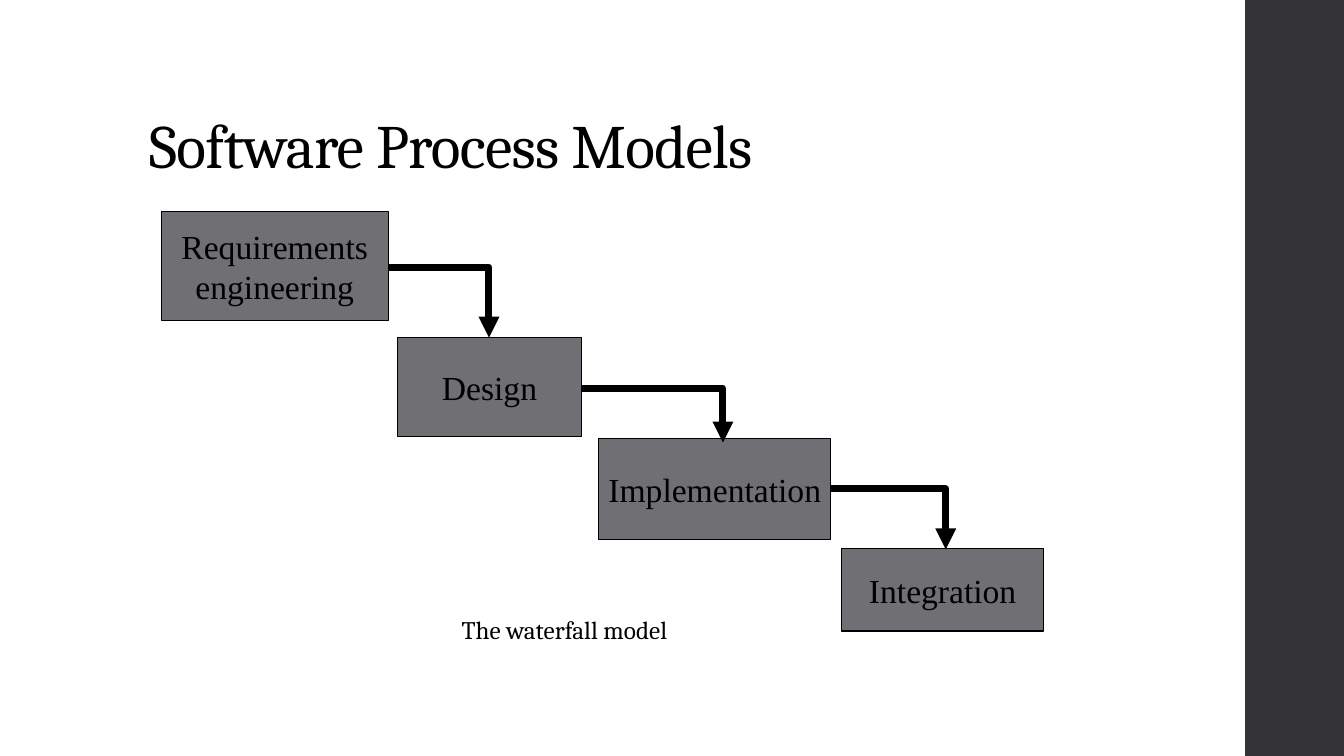
from lxml import etree
from pptx import Presentation
from pptx.dml.color import RGBColor
from pptx.enum.shapes import MSO_CONNECTOR, MSO_SHAPE
from pptx.enum.text import MSO_ANCHOR, MSO_AUTO_SIZE, PP_ALIGN
from pptx.oxml.ns import qn
from pptx.util import Inches, Pt

RECT = MSO_SHAPE.RECTANGLE
ELBOW = MSO_CONNECTOR.ELBOW
BLACK = RGBColor(0x00, 0x00, 0x00)
GRAY = RGBColor(0x6F, 0x6F, 0x74)
DARK = RGBColor(0x35, 0x35, 0x37)


def style(frame, font, size, align):
    for para in frame.paragraphs:
        para.alignment = align
        for run in para.runs:
            run.font.name = font
            run.font.size = Pt(size)
            run.font.color.rgb = BLACK


def add_box(left, top, width, height, fill):
    box = slide.shapes.add_shape(
        RECT, Inches(left), Inches(top), Inches(width), Inches(height))
    box.shadow.inherit = False
    box.fill.solid()
    box.fill.fore_color.rgb = fill
    return box


prs = Presentation()
prs.slide_width = Inches(13.33)
prs.slide_height = Inches(7.5)
slide = prs.slides.add_slide(prs.slide_layouts[5])

# Side band
band = add_box(12.35, 0, 1, 7.5, DARK)
band.line.fill.background()

# Title
title = slide.shapes.title
title.left, title.top = Inches(1.38), Inches(0.4)
title.width, title.height = Inches(10.6), Inches(1.45)
frame = title.text_frame
frame.text = "Software Process Models"
frame.auto_size = MSO_AUTO_SIZE.NONE
frame.vertical_anchor = MSO_ANCHOR.BOTTOM
frame.paragraphs[0].line_spacing = 0.9
style(frame, "Cambria", 44, PP_ALIGN.LEFT)
frame.paragraphs[0].runs[0].font._element.set("spc", "-50")

# Phases of the waterfall
phases = [
    ("Requirements\nengineering", 1.6, 2.1, 2.25, 1.08),
    ("Design", 3.94, 3.35, 1.83, 0.98),
    ("Implementation", 5.94, 4.35, 2.3, 1),
    ("Integration", 8.35, 5.44, 2, 0.82),
]
for name, left, top, width, height in phases:
    box = add_box(left, top, width, height, GRAY)
    box.line.color.rgb = BLACK
    box.line.width = Pt(0.75)
    frame = box.text_frame
    frame.text = name
    frame.word_wrap = False
    frame.vertical_anchor = MSO_ANCHOR.MIDDLE
    style(frame, "Times New Roman", 24, PP_ALIGN.CENTER)

# Arrows from each phase to the next
arrows = [
    (3.85, 2.65, 4.85, 3.35),
    (5.77, 3.85, 7.17, 4.39),
    (8.23, 4.85, 9.38, 5.45),
]
for ends in arrows:
    arrow = slide.shapes.add_connector(ELBOW, *map(Inches, ends))
    arrow.line.color.rgb = BLACK
    arrow.line.width = Pt(5)
    props = arrow._element.spPr
    props.find(qn("a:prstGeom")).set("prst", "bentConnector2")
    etree.SubElement(props.find(qn("a:ln")), qn("a:tailEnd"), type="triangle")
    etree.SubElement(props, qn("a:effectLst"))

# Caption
note = slide.shapes.add_textbox(
    Inches(4.48), Inches(6.05), Inches(2.62), Inches(0.4))
frame = note.text_frame
frame.text = "The waterfall model"
frame.word_wrap = False
frame.auto_size = MSO_AUTO_SIZE.SHAPE_TO_FIT_TEXT
style(frame, "Cambria", 18, PP_ALIGN.LEFT)

prs.save("out.pptx")
